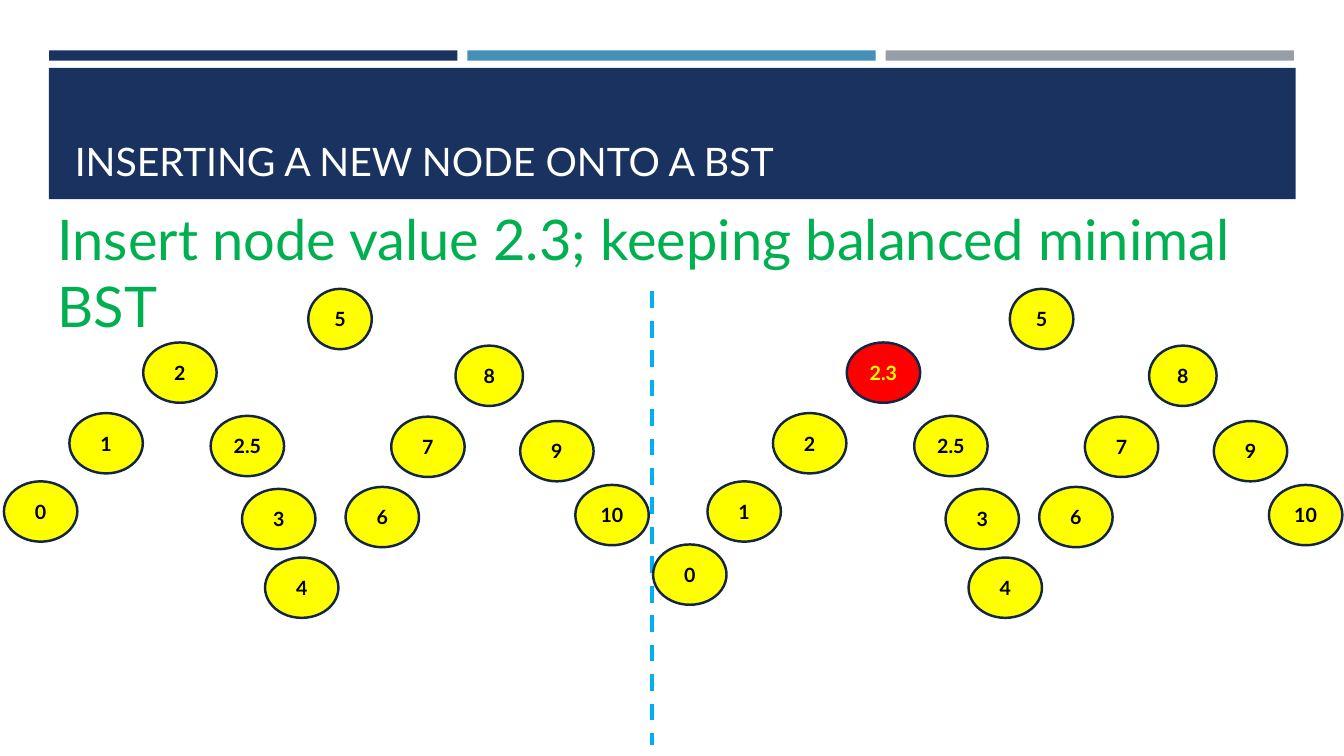
from dataclasses import dataclass

import lxml.etree
import pptx
import pptx.dml.color
import pptx.enum.dml
import pptx.enum.shapes
import pptx.enum.text
import pptx.oxml.ns
import pptx.util

Cm = pptx.util.Cm
Pt = pptx.util.Pt
ALIGN = pptx.enum.text.PP_ALIGN
ANCHOR = pptx.enum.text.MSO_ANCHOR
SHAPE = pptx.enum.shapes.MSO_SHAPE

NAVY, BLUE, GREY, WHITE = "1A3260", "4590B8", "969FA7", "FFFFFF"
EDGE, GREEN, CYAN = "132547", "00B050", "00B0F0"
YELLOW, RED, BLACK = "FFFF00", "FF0000", "000000"
HIGH = 1.52
ROOT, LOW, UP = 17.68, 17.73, 17.48


@dataclass
class Bar:
    left: float
    top: float
    wide: float
    high: float
    fill: str


@dataclass
class Node:
    label: str
    left: float
    top: float
    shift: float = 0
    wide: float = 1.85
    after: str = ""
    fill: str = YELLOW
    ink: str = BLACK


BARS = [Bar(1.24 + 10.54 * n, 1.27, 10.29, 0.26, fill)
        for n, fill in enumerate((NAVY, BLUE, GREY))]
BARS.append(Bar(1.23, 1.71, 31.42, 3.31, NAVY))

TREE = [
    Node("5", 7.77, 7.28, ROOT, wide=1.6),
    Node("2", 3.61, 8.63, LOW, after="2.3"),
    Node("8", 11.48, 8.71, UP, wide=1.7),
    Node("1", 1.75, 10.41, LOW, after="2"),
    Node("2.5", 5.31, 10.48, LOW),
    Node("7", 9.86, 10.5, UP),
    Node("9", 13.11, 10.61, UP),
    Node("3", 6.1, 12.32, LOW),
    Node("6", 8.71, 12.27, UP),
    Node("0", 0.1, 12.13, LOW, after="1"),
    Node("10", 14.5, 12.22, UP),
    Node("4", 6.68, 14.05, LOW),
]


def shade(text: str) -> pptx.dml.color.RGBColor:
    """Turn a hex string into a colour."""
    return pptx.dml.color.RGBColor.from_string(text)


def place(shape, left: float, top: float, wide: float, high: float) -> None:
    """Move and size a shape, in centimetres."""
    shape.left, shape.top = Cm(left), Cm(top)
    shape.width, shape.height = Cm(wide), Cm(high)


def write(shape, text: str, *, size: float, ink: str, bold: bool = False,
          align=ALIGN.LEFT, anchor=ANCHOR.TOP,
          fit=pptx.enum.text.MSO_AUTO_SIZE.NONE) -> None:
    """Put formatted text into a shape."""
    frame = shape.text_frame
    frame.word_wrap = True
    frame.auto_size = fit
    frame.vertical_anchor = anchor
    para = frame.paragraphs[0]
    para.alignment = align
    run = para.add_run()
    run.text = text
    font = run.font
    font.name, font.size, font.bold = "Lato", Pt(size), bold
    font.color.rgb = shade(ink)


def draw(slide, kind, item: Bar | Node, high: float):
    """Add a filled shape with neither line nor shadow."""
    shape = slide.shapes.add_shape(kind, Cm(item.left), Cm(item.top), Cm(item.wide), Cm(high))
    shape.shadow.inherit = False
    shape.fill.solid()
    shape.fill.fore_color.rgb = shade(item.fill)
    shape.line.fill.background()
    return shape


def plant(slide, node: Node) -> None:
    """Draw one tree node with its label."""
    shape = draw(slide, SHAPE.OVAL, node, HIGH)
    shape.line.color.rgb = shade(EDGE)
    shape.line.width = Pt(1.75)
    frame = shape.text_frame
    frame.margin_left = frame.margin_right = 0
    write(shape, node.label, size=14, ink=node.ink, bold=True,
          align=ALIGN.CENTER, anchor=ANCHOR.MIDDLE)


def split(slide, left: float, top: float, end: float) -> None:
    """Draw the dashed line between the two trees."""
    line = slide.shapes.add_connector(
        pptx.enum.shapes.MSO_CONNECTOR.STRAIGHT, Cm(left), Cm(top), Cm(left), Cm(end))
    line.line.color.rgb = shade(CYAN)
    line.line.width = Pt(3)
    line.line.dash_style = pptx.enum.dml.MSO_LINE.DASH
    lxml.etree.SubElement(line._element.spPr, pptx.oxml.ns.qn("a:effectLst"))


def grow(node: Node) -> Node:
    """Give the node's state after the new value is in."""
    fresh = node.after == "2.3"
    return Node(node.after or node.label, node.left + node.shift, node.top, wide=node.wide,
                fill=RED if fresh else YELLOW, ink=YELLOW if fresh else BLACK)


def main() -> None:
    """Build and save the slide."""
    deck = pptx.Presentation()
    deck.slide_width, deck.slide_height = Cm(33.87), Cm(19.05)
    slide = deck.slides.add_slide(deck.slide_layouts.get_by_name("Title Only"))
    for bar in BARS:
        draw(slide, SHAPE.RECTANGLE, bar, bar.high)

    title = slide.shapes.title
    slide.shapes._spTree.append(title._element)
    place(title, 1.63, 1.96, 30.63, 2.82)
    write(title, "INSERTING A NEW NODE ONTO A BST", size=28, ink=WHITE, anchor=ANCHOR.BOTTOM)

    task = slide.shapes.add_textbox(Cm(1.2), Cm(5.03), Cm(31.34), Cm(1.96))
    write(task, "Insert node value 2.3; keeping balanced minimal BST", size=40, ink=GREEN,
          fit=pptx.enum.text.MSO_AUTO_SIZE.SHAPE_TO_FIT_TEXT)

    for node in TREE:
        plant(slide, node)
    split(slide, 16.43, 7.34, 18.77)
    for node in TREE:
        plant(slide, grow(node))
    plant(slide, Node("0", 16.46, 13.72))
    deck.save("out.pptx")


main()
